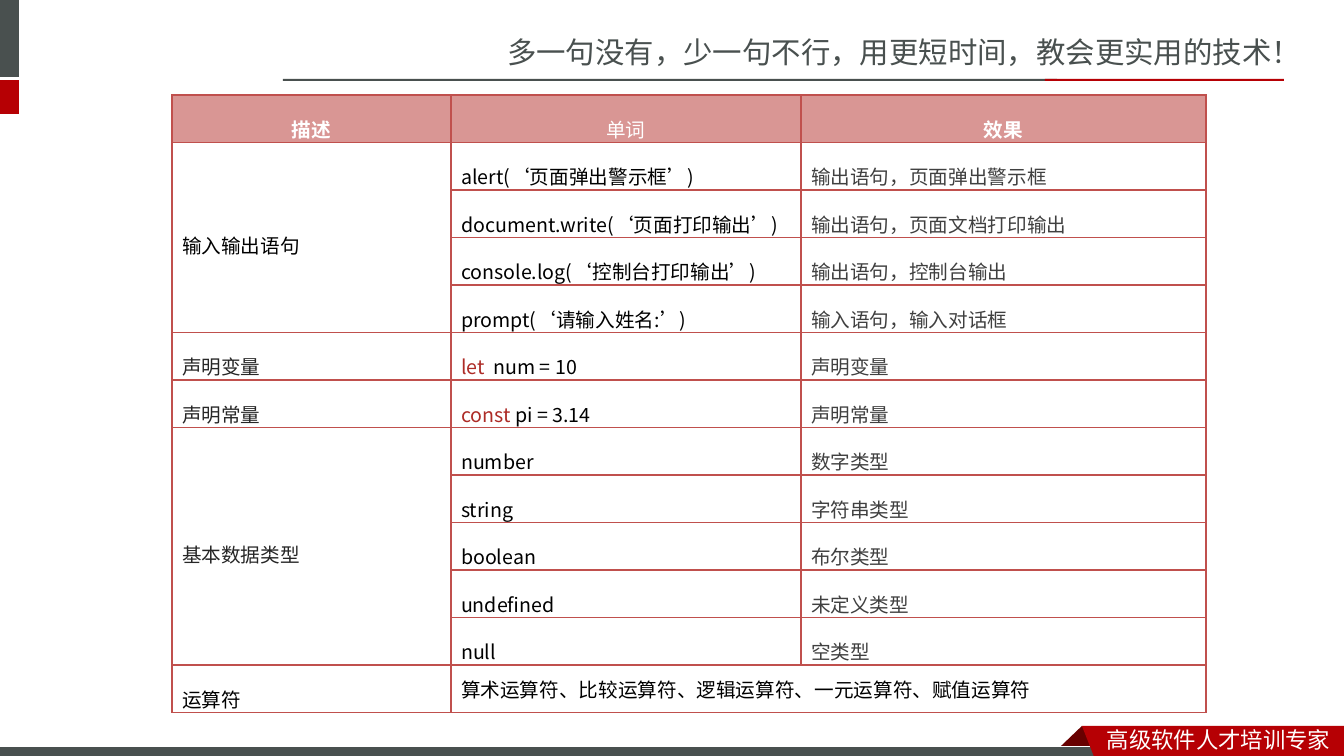
from lxml.etree import SubElement
from pptx import Presentation
from pptx.dml.color import RGBColor
from pptx.enum.shapes import MSO_SHAPE as Shape
from pptx.enum.text import MSO_ANCHOR as Anchor, MSO_AUTO_SIZE as AutoSize, PP_ALIGN as Align
from pptx.oxml.ns import qn
from pptx.util import Pt

# Colours
GREY = RGBColor(0x49, 0x50, 0x4F)
RED = RGBColor(0xB6, 0x00, 0x04)
DARK_RED = RGBColor(0x68, 0x00, 0x00)
WHITE = RGBColor(0xFF, 0xFF, 0xFF)
BLACK = RGBColor(0x00, 0x00, 0x00)
INK = RGBColor(0x26, 0x26, 0x26)
SOFT_INK = RGBColor(0x40, 0x40, 0x40)
KEYWORD = RGBColor(0xAD, 0x2B, 0x26)
HEADER = RGBColor(0xD9, 0x96, 0x94)
BORDER = RGBColor(0xC0, 0x50, 0x4D)

# Table content: first column as (text, colour), second as code runs, third as text
HEADINGS = [("描述", True), ("单词", False), ("效果", True)]
ROWS = [
    (("输入输出语句", BLACK), [("alert(‘页面弹出警示框’)", BLACK)], "输出语句，页面弹出警示框"),
    (None, [("document.write(‘页面打印输出’)", BLACK)], "输出语句，页面文档打印输出"),
    (None, [("console.log(‘控制台打印输出’)", BLACK)], "输出语句，控制台输出"),
    (None, [("prompt(‘请输入姓名:’)", BLACK)], "输入语句，输入对话框"),
    (("声明变量", INK), [("let  ", KEYWORD), ("num = 10", BLACK)], "声明变量"),
    (("声明常量", INK), [("const ", KEYWORD), ("pi = 3.14", BLACK)], "声明常量"),
    (("基本数据类型", INK), [("number", BLACK)], "数字类型"),
    (None, [("string", BLACK)], "字符串类型"),
    (None, [("boolean", BLACK)], "布尔类型"),
    (None, [("undefined", BLACK)], "未定义类型"),
    (None, [("null", BLACK)], "空类型"),
    (("运算符", BLACK), [("算术运算符、比较运算符、逻辑运算符、一元运算符、赋值运算符", BLACK)], None),
]


def px(n):
    return round(n * 914400 / 100.8)


class Deck:
    text_font = "Noto Sans CJK SC"
    table_font = "Noto Sans CJK JP"

    def __init__(self):
        self.prs = Presentation()
        self.prs.slide_width, self.prs.slide_height = px(1344), px(756)
        self.s = self.prs.slides.add_slide(self.prs.slide_layouts[5])

    def add_runs(self, tf, runs, size, font, bold=False, align=Align.LEFT, spacing=1.0):
        p = tf.paragraphs[0]
        p.alignment, p.line_spacing = align, spacing
        for text, color in runs:
            r = p.add_run()
            r.text = text
            r.font.size, r.font.bold, r.font.name = Pt(size), bold, font
            r.font.color.rgb = color
            SubElement(r._r.get_or_add_rPr(), qn("a:ea"), typeface=font)

    def paint(self, sp, fill, line=None):
        sp.shadow.inherit = False
        sp.fill.solid()
        sp.fill.fore_color.rgb = fill
        if line is None:
            sp.line.fill.background()
        else:
            sp.line.color.rgb = line
            sp.line.width = Pt(0.75)

    def rect(self, x, y, w, h, fill, line=None):
        sp = self.s.shapes.add_shape(Shape.RECTANGLE, px(x), px(y), px(w), px(h))
        self.paint(sp, fill, line)

    def polygon(self, points, fill):
        start, *rest = [(px(x), px(y)) for x, y in points]
        builder = self.s.shapes.build_freeform(*start, scale=1.0)
        builder.add_line_segments(rest, close=True)
        self.paint(builder.convert_to_shape(), fill)

    def title(self, x, y, w, h, text, size, color):
        sp = self.s.shapes.title
        sp.left, sp.top, sp.width, sp.height = px(x), px(y), px(w), px(h)
        sp.text_frame.vertical_anchor = Anchor.MIDDLE
        sp.text_frame.auto_size = AutoSize.NONE
        self.add_runs(sp.text_frame, [(text, color)], size, self.text_font)

    def text(self, x, y, w, h, text, size, color):
        tf = self.s.shapes.add_textbox(px(x), px(y), px(w), px(h)).text_frame
        tf.word_wrap = True
        self.add_runs(tf, [(text, color)], size, self.text_font)

    def table(self, x, y, widths, h, rows):
        frame = self.s.shapes.add_table(rows, len(widths), px(x), px(y), px(sum(widths)), px(h))
        table = frame.table
        table.horz_banding = False
        for column, width in zip(table.columns, widths):
            column.width = px(width)
        for row in table.rows:
            row.height = px(h) // rows
        for cell in table.iter_cells():
            self.cell_style(cell, WHITE)
        return table

    def cell_style(self, cell, fill):
        tcPr = cell._tc.get_or_add_tcPr()
        for side in ("lnL", "lnR", "lnT", "lnB"):
            ln = SubElement(tcPr, qn(f"a:{side}"), w=str(Pt(1)))
            solid = SubElement(ln, qn("a:solidFill"))
            SubElement(solid, qn("a:srgbClr"), val=str(BORDER))
        cell.fill.solid()
        cell.fill.fore_color.rgb = fill

    def cell(self, cell, runs, spacing=1.5, **style):
        cell.vertical_anchor = Anchor.MIDDLE
        if not cell.is_merge_origin:
            cell.margin_bottom = 0
        self.add_runs(cell.text_frame, runs, 14, self.table_font, spacing=spacing, **style)


def main():
    deck = Deck()

    # Heading with its rule and the side tabs
    deck.title(497, 28, 848, 47, "多一句没有，少一句不行，用更短时间，教会更实用的技术！", 21, GREY)
    deck.rect(-6, 0, 25, 77, GREY)
    deck.rect(-6, 80, 25, 34, RED)
    deck.rect(283, 79, 774, 2, GREY)
    deck.rect(1045, 79, 239, 2, RED)

    # Footer ribbon
    deck.polygon([(1082, 726), (1104, 748), (1103, 749), (1060, 749), (1059, 748)], DARK_RED)
    deck.rect(-1, 747, 1109, 12, GREY, WHITE)
    deck.polygon([(1082, 726), (1344, 726), (1344, 760), (1095, 759)], RED)
    deck.text(1097, 721, 247, 37, "高级软件人才培训专家", 16, WHITE)

    # Table grid and merged cells
    last = len(ROWS)
    table = deck.table(172, 95, [279, 350, 405], 618, last + 1)
    starts = [i for i, row in enumerate(ROWS, 1) if row[0]] + [last + 1]
    for top, following in zip(starts, starts[1:]):
        if following - top > 1:
            table.cell(top, 0).merge(table.cell(following - 1, 0))
    table.cell(last, 1).merge(table.cell(last, 2))

    # Table text
    for j, (heading, bold) in enumerate(HEADINGS):
        cell = table.cell(0, j)
        cell.fill.fore_color.rgb = HEADER
        deck.cell(cell, [(heading, WHITE)], bold=bold, align=Align.CENTER)
    for i, (topic, code, effect) in enumerate(ROWS, 1):
        if topic:
            deck.cell(table.cell(i, 0), [topic])
        deck.cell(table.cell(i, 1), code, spacing=1.5 if effect else 1.0)
        if effect:
            deck.cell(table.cell(i, 2), [(effect, SOFT_INK)])

    deck.prs.save("out.pptx")


if __name__ == "__main__":
    main()
